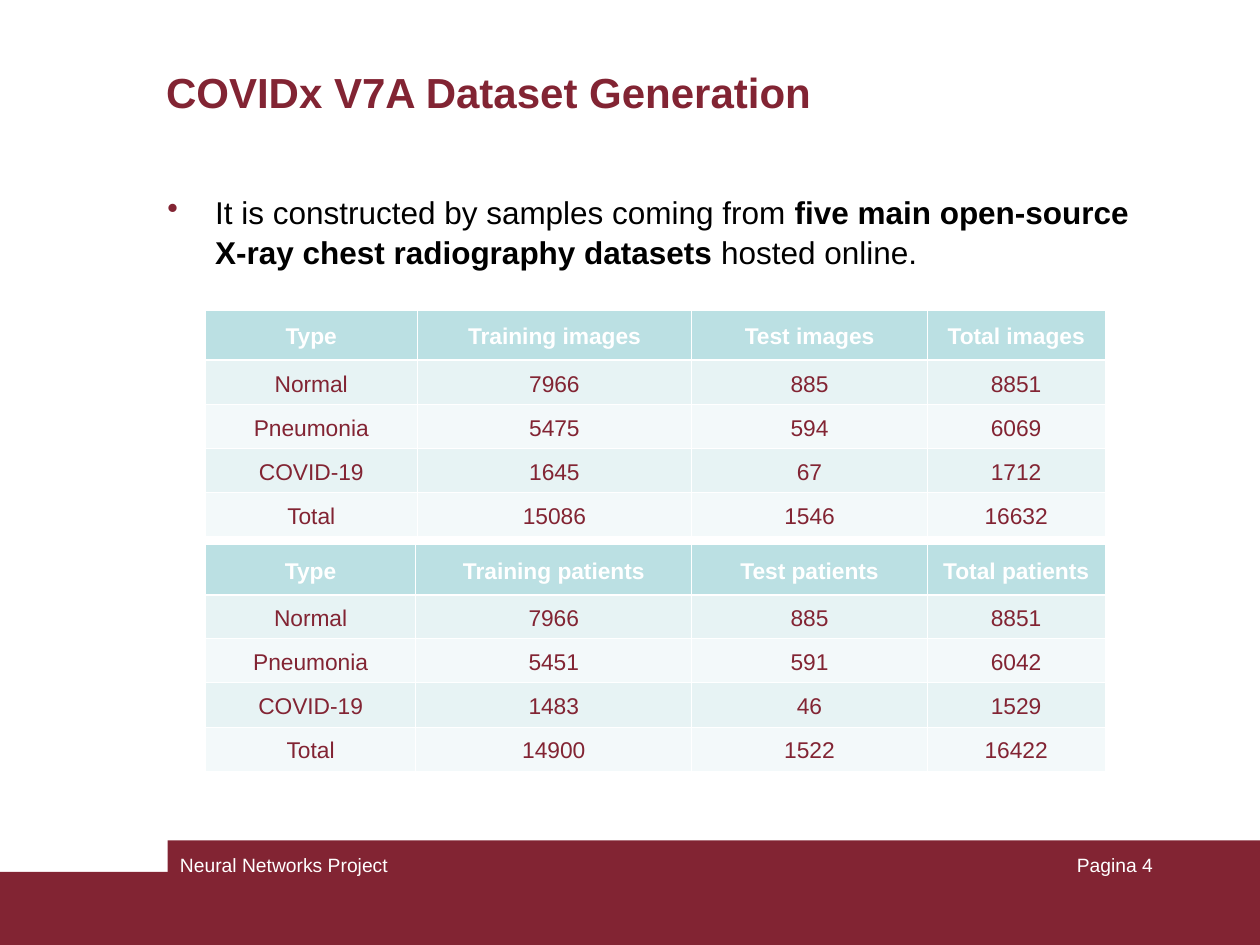
from lxml.etree import SubElement
from pptx import Presentation
from pptx.dml.color import RGBColor
from pptx.enum.shapes import MSO_SHAPE
from pptx.enum.text import MSO_ANCHOR, PP_ALIGN
from pptx.oxml.ns import qn
from pptx.util import Inches, Pt

MAROON, WHITE, BLACK = "822433", "FFFFFF", "000000"
HEADER_FILL, BAND_FILLS = "BBE0E3", ("E7F3F4", "F3F9FA")
THIN_RULE, HEADER_RULE = 0.45, 1.47


def rgb(hex_color):
    return RGBColor.from_string(hex_color)


def format_font(font, size, color, bold=False):
    font.name = "Arial"
    font.size = Pt(size)
    font.bold = bold
    font.color.rgb = rgb(color)


def add_bar(slide, left, top, width, height):
    bar = slide.shapes.add_shape(MSO_SHAPE.RECTANGLE, Inches(left), Inches(top),
                                 Inches(width), Inches(height))
    bar.shadow.inherit = False
    bar.fill.solid()
    bar.fill.fore_color.rgb = rgb(MAROON)
    bar.line.fill.background()


def add_text_frame(slide, left, top, width, height):
    frame = slide.shapes.add_textbox(Inches(left), Inches(top),
                                     Inches(width), Inches(height)).text_frame
    frame.word_wrap = True
    return frame


def add_line(slide, box, text, size, color, bold=False, align=PP_ALIGN.LEFT,
             anchor=MSO_ANCHOR.TOP):
    """Add a text box that holds one paragraph in one format."""
    frame = add_text_frame(slide, *box)
    frame.vertical_anchor = anchor
    frame.text = text
    paragraph = frame.paragraphs[0]
    paragraph.alignment = align
    format_font(paragraph.runs[0].font, size, color, bold)


def add_bullet(slide, box, parts):
    """Add a bulleted paragraph from (text, bold) parts."""
    paragraph = add_text_frame(slide, *box).paragraphs[0]
    paragraph.line_spacing = 1.05
    properties = paragraph._p.get_or_add_pPr()
    properties.set("marL", str(Inches(0.38)))
    properties.set("indent", str(Inches(-0.38)))
    bullet_color = SubElement(properties, qn("a:buClr"))
    SubElement(bullet_color, qn("a:srgbClr"), val=MAROON)
    SubElement(properties, qn("a:buChar"), char="•")
    for text, bold in parts:
        run = paragraph.add_run()
        run.text = text
        format_font(run.font, 18, BLACK, bold)


def set_borders(cell, top, bottom):
    """Draw white borders; top and bottom are widths in points."""
    properties = cell._tc.get_or_add_tcPr()
    widths = {"lnL": THIN_RULE, "lnR": THIN_RULE, "lnT": top, "lnB": bottom}
    for side, width in widths.items():
        border = SubElement(properties, qn(f"a:{side}"), w=str(Pt(width)))
        fill = SubElement(border, qn("a:solidFill"))
        SubElement(fill, qn("a:srgbClr"), val=WHITE)


def format_cell(cell, text, row):
    is_header = row == 0
    set_borders(cell, HEADER_RULE if row == 1 else THIN_RULE,
                HEADER_RULE if is_header else THIN_RULE)
    cell.fill.solid()
    cell.fill.fore_color.rgb = rgb(HEADER_FILL if is_header else BAND_FILLS[(row - 1) % 2])
    cell.vertical_anchor = MSO_ANCHOR.MIDDLE
    cell.margin_left = cell.margin_right = Inches(0.07)
    cell.margin_top = cell.margin_bottom = Inches(0.05)
    cell.text_frame.text = text
    paragraph = cell.text_frame.paragraphs[0]
    paragraph.alignment = PP_ALIGN.CENTER
    paragraph.line_spacing = 1.15
    paragraph.space_after = Pt(8)
    format_font(paragraph.runs[0].font, 13, WHITE if is_header else MAROON, is_header)


def add_count_table(slide, top, column_widths, unit, counts):
    """Add a table of training, test and total counts per type."""
    header = ("Type", f"Training {unit}", f"Test {unit}", f"Total {unit}")
    rows = [header, *counts]
    table = slide.shapes.add_table(len(rows), len(header), Inches(1.63), Inches(top),
                                   Inches(7.14), Inches(1.4)).table
    for column, width in zip(table.columns, column_widths):
        column.width = Inches(width)
    for index, values in enumerate(rows):
        table.rows[index].height = Inches(0.25 if index else 0.4)
        for cell, value in zip(table.rows[index].cells, values):
            format_cell(cell, str(value), index)


def main():
    presentation = Presentation()
    presentation.slide_width, presentation.slide_height = Inches(10), Inches(7.5)
    slide = presentation.slides.add_slide(presentation.slide_layouts[6])

    add_bar(slide, 0, 6.92, 10, 0.58)
    add_bar(slide, 1.33, 6.67, 8.67, 0.83)
    add_line(slide, (1.22, 0.45, 8.27, 0.55), "COVIDx V7A Dataset Generation", 24, MAROON,
             bold=True, anchor=MSO_ANCHOR.MIDDLE)
    add_line(slide, (1.33, 6.72, 3.17, 0.5), "Neural Networks Project", 11, WHITE)
    add_line(slide, (7.17, 6.72, 2.08, 0.5), "Pagina 4", 11, WHITE, align=PP_ALIGN.RIGHT)
    add_bullet(slide, (1.23, 1.47, 8.1, 4.42), [
        ("It is constructed by samples coming from ", False),
        ("five main open-source X-ray chest radiography datasets", True),
        (" hosted online.", False),
    ])
    add_count_table(slide, 2.46, (1.68, 2.18, 1.87, 1.41), "images", [
        ("Normal", 7966, 885, 8851),
        ("Pneumonia", 5475, 594, 6069),
        ("COVID-19", 1645, 67, 1712),
        ("Total", 15086, 1546, 16632),
    ])
    add_count_table(slide, 4.32, (1.67, 2.19, 1.87, 1.41), "patients", [
        ("Normal", 7966, 885, 8851),
        ("Pneumonia", 5451, 591, 6042),
        ("COVID-19", 1483, 46, 1529),
        ("Total", 14900, 1522, 16422),
    ])
    presentation.save("out.pptx")


if __name__ == "__main__":
    main()
